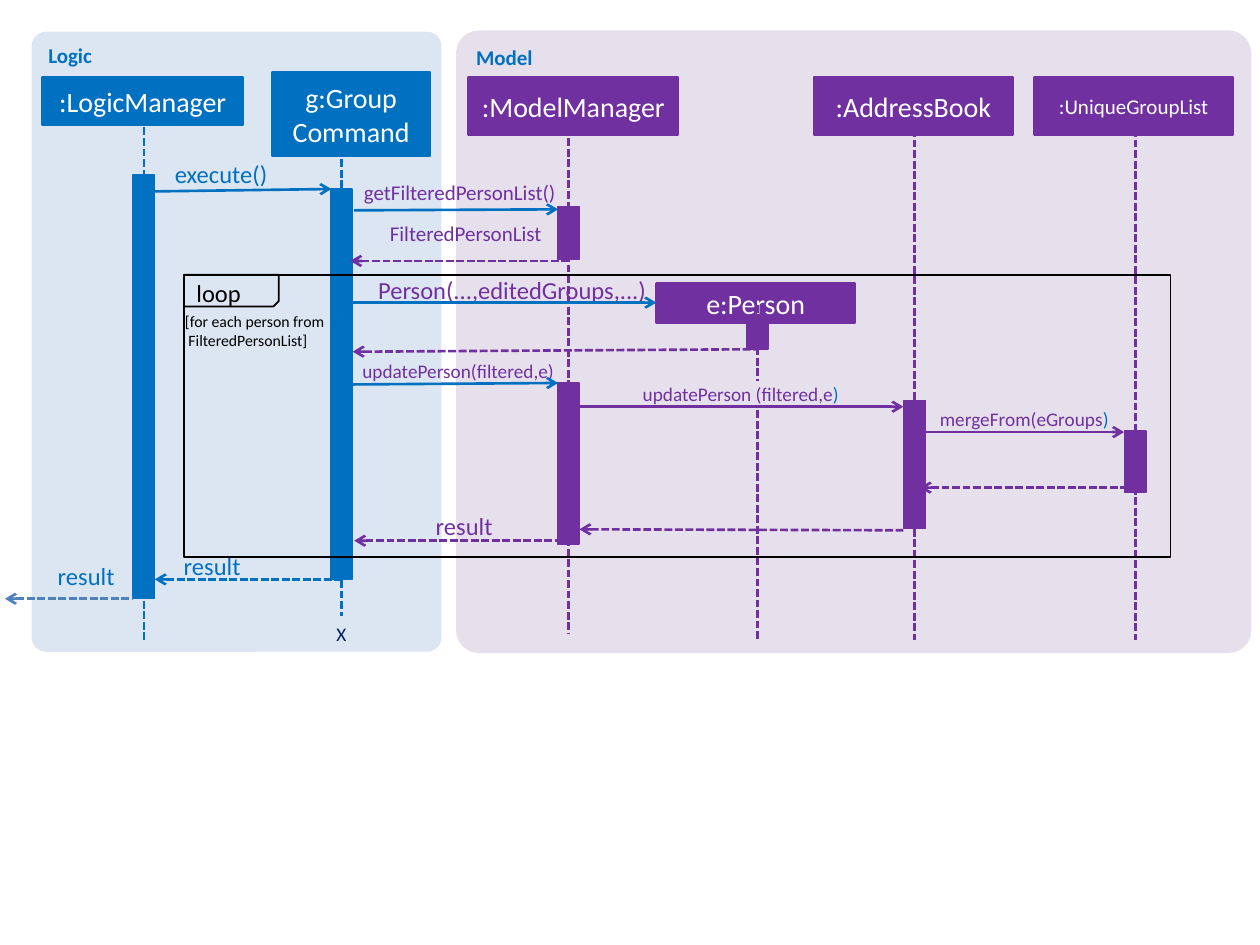
import pptx
import pptx.dml.color
import pptx.enum.dml
import pptx.enum.shapes
import pptx.enum.text
import pptx.oxml
import pptx.oxml.ns
import pptx.util

Cm = pptx.util.Cm
Pt = pptx.util.Pt
Form = pptx.enum.shapes.MSO_SHAPE
Align = pptx.enum.text.PP_ALIGN
Fit = pptx.enum.text.MSO_AUTO_SIZE
Anchor = pptx.enum.text.MSO_ANCHOR

BLUE, PURPLE, STEEL = "0070C0", "7030A0", "4F81BD"
MIST, LILAC = "DCE6F2", "E6E0EC"
BLACK, WHITE, NAVY = "000000", "FFFFFF", "002060"


def tint(code):
    return pptx.dml.color.RGBColor.from_string(code)


def write(frame, text, size=14, color=BLACK, bold=False, align=Align.LEFT,
          tail="", inset=None, wrap=True, grow=False, anchor=Anchor.TOP):
    """Fill a frame, one paragraph a line; tail ends the text in blue."""
    frame.word_wrap = wrap
    frame.auto_size = Fit.SHAPE_TO_FIT_TEXT if grow else Fit.NONE
    frame.vertical_anchor = anchor
    if inset is not None:
        frame.margin_left = frame.margin_right = Cm(inset)
        frame.margin_top = frame.margin_bottom = Cm(inset)
    for i, line in enumerate(text.split("\n")):
        para = frame.paragraphs[0] if i == 0 else frame.add_paragraph()
        para.text = line
        para.alignment = align
        if tail:
            para.add_run().text = tail
        for run in para.runs:
            run.font.name = "Calibri"
            run.font.size = Pt(size)
            run.font.bold = bold
            run.font.color.rgb = tint(color)
        if tail:
            para.runs[-1].font.color.rgb = tint(BLUE)


class Chart:
    """Sequence diagram on one slide, measured in centimetres."""

    def __init__(self, slide):
        self.shapes = slide.shapes

    def block(self, x, y, w, h, fill=None, line=None, weight=1.5, form=Form.RECTANGLE):
        item = self.shapes.add_shape(form, Cm(x), Cm(y), Cm(w), Cm(h))
        item.shadow.inherit = False
        if fill:
            item.fill.solid()
            item.fill.fore_color.rgb = tint(fill)
        else:
            item.fill.background()
        if line:
            item.line.color.rgb = tint(line)
            item.line.width = Pt(weight)
        else:
            item.line.fill.background()
        return item

    def panel(self, x, w, text, fill, line=None):
        item = self.block(x, 0.64, w, 12.5, fill, line, form=Form.ROUNDED_RECTANGLE)
        item.adjustments[0] = 0.035
        write(item.text_frame, text, size=12, color=BLUE, bold=True)

    def head(self, x, y, w, h, text, color, size=16):
        item = self.block(x, y, w, h, color, color)
        write(item.text_frame, text, size=size, color=WHITE,
              align=Align.CENTER, anchor=Anchor.MIDDLE)

    def bar(self, mid, y, h, color):
        wide = 0.43
        self.block(mid - wide / 2, y, wide, h, color, color, 0.75)

    def line(self, x1, y1, x2, y2, color, dash=False, end=None):
        kind = pptx.enum.shapes.MSO_CONNECTOR.STRAIGHT
        item = self.shapes.add_connector(kind, Cm(x1), Cm(y1), Cm(x2), Cm(y2))
        item.line.color.rgb = tint(color)
        item.line.width = Pt(1.5)
        if dash:
            item.line.dash_style = pptx.enum.dml.MSO_LINE.SQUARE_DOT
        if end:
            tip = pptx.oxml.parse_xml(
                f'<a:{end} {pptx.oxml.ns.nsdecls("a")} type="arrow"/>')
            item.line._get_or_add_ln().append(tip)
        item._element.spPr.append(pptx.oxml.parse_xml(
            f'<a:effectLst {pptx.oxml.ns.nsdecls("a")}/>'))

    def call(self, x1, y1, x2, y2, color):
        self.line(x1, y1, x2, y2, color, end="tailEnd")

    def reply(self, x1, y1, x2, y2, color):
        """Dashed return, pointing at its left end."""
        self.line(x1, y1, x2, y2, color, dash=True, end="headEnd")

    def label(self, x, y, w, text, color, size=14, fill=None, tail=""):
        high = 0.043 * size
        if fill:
            item = self.block(x, y, w, high, fill, fill, 0.75)
        else:
            item = self.shapes.add_textbox(Cm(x), Cm(y), Cm(w), Cm(high))
        write(item.text_frame, text, size=size, color=color, align=Align.RIGHT,
              tail=tail, inset=0, grow=True)

    def note(self, x, y, w, h, text, size, color=BLACK):
        item = self.shapes.add_textbox(Cm(x), Cm(y), Cm(w), Cm(h))
        write(item.text_frame, text, size=size, color=color, wrap=False, grow=True)
        return item

    def loop(self, x, y, w, h):
        self.block(x, y, w, h, line=BLACK, weight=1)
        tab = self.block(x, y, 1.91, 0.64, line=BLACK, weight=1,
                         form=Form.SNIP_1_RECTANGLE)
        tab._element.spPr.xfrm.set("flipV", "1")
        self.note(x, y - 0.05, 1.42, 0.86, "loop", 14)
        guard = self.note(x - 0.23, y + 0.63, 3.35, 1.02,
                          "[for each person from\nFilteredPersonList]", 9)
        last = guard.text_frame.paragraphs[1]
        last._p.get_or_add_pPr().set("marL", str(Cm(0.07)))


def main():
    deck = pptx.Presentation()
    deck.slide_width, deck.slide_height = Cm(25.4), Cm(19.05)
    art = Chart(deck.slides.add_slide(deck.slide_layouts[6]))

    art.panel(9.22, 15.98, "Model", LILAC, LILAC)
    art.panel(0.64, 8.26, "Logic", MIST)

    art.head(0.86, 1.55, 4.04, 0.97, ":LogicManager", BLUE)
    art.head(5.49, 1.45, 3.18, 1.7, "g:Group\vCommand", BLUE)
    art.head(9.45, 1.55, 4.22, 1.17, ":ModelManager", PURPLE)
    art.head(13.23, 5.72, 4.01, 0.79, "e:Person", PURPLE)
    art.head(16.41, 1.55, 4.01, 1.17, ":AddressBook", PURPLE)
    art.head(20.85, 1.55, 4.01, 1.17, ":UniqueGroupList", PURPLE, size=12)

    # Lifelines: middle, top, bottom, colour, then (top, height) of each bar
    lives = [
        (2.9, 2.57, 12.9, BLUE, [(3.53, 8.53)]),
        (6.88, 2.79, 12.42, BLUE, [(3.81, 7.87)]),
        (11.46, 2.79, 12.78, PURPLE, [(4.17, 1.07), (7.72, 3.25)]),
        (15.27, 6.15, 12.9, PURPLE, [(6.48, 0.56)]),
        (18.44, 2.39, 12.9, PURPLE, [(8.08, 2.57)]),
        (22.89, 2.39, 12.9, PURPLE, [(8.69, 1.24)]),
    ]
    for mid, top, low, color, bars in lives:
        art.line(mid, top, mid, low, color, dash=True)
        for y, h in bars:
            art.bar(mid, y, h, color)
    art.note(6.53, 12.42, 0.71, 0.74, "X", 11, NAVY)

    art.label(3, 3.2, 2.39, "execute()", BLUE)
    art.label(3.12, 11.1, 1.73, "result", BLUE)
    art.label(0.2, 11.3, 2.11, "result", BLUE)
    art.label(7.82, 10.31, 2.11, "result", PURPLE)
    art.label(7.19, 3.61, 4.01, "getFilteredPersonList()", PURPLE, 12)
    art.label(6.91, 4.45, 4.01, "FilteredPersonList", PURPLE, 12)
    art.label(7.44, 5.54, 5.59, "Person(...,editedGroups,...)", PURPLE)
    art.label(7.26, 7.24, 3.91, "updatePerson(filtered,e)", PURPLE, 11)
    art.label(12.52, 7.7, 4.39, "updatePerson (filtered,e", PURPLE, 11, LILAC, ")")
    art.label(18.82, 8.2, 3.53, "mergeFrom(eGroups", PURPLE, 11, LILAC, ")")

    art.call(3, 3.86, 6.68, 3.81, BLUE)
    art.call(7.14, 4.24, 11.25, 4.22, BLUE)
    art.call(7.11, 6.1, 13.23, 6.1, BLUE)
    art.call(7.11, 7.75, 11.25, 7.72, BLUE)
    art.call(11.56, 8.2, 18.21, 8.2, PURPLE)
    art.call(18.29, 8.71, 22.66, 8.71, PURPLE)

    art.reply(7.06, 5.26, 11.48, 5.26, PURPLE)
    art.reply(7.11, 7.09, 15.27, 7.04, PURPLE)
    art.reply(18.54, 9.83, 22.66, 9.83, PURPLE)
    art.reply(11.68, 10.67, 18.21, 10.69, PURPLE)
    art.reply(7.14, 10.9, 11.28, 10.9, PURPLE)
    art.reply(3.12, 11.68, 6.88, 11.68, BLUE)
    art.reply(0.1, 12.07, 2.69, 12.07, STEEL)

    art.loop(3.71, 5.54, 19.89, 5.69)
    deck.save("out.pptx")


if __name__ == "__main__":
    main()
